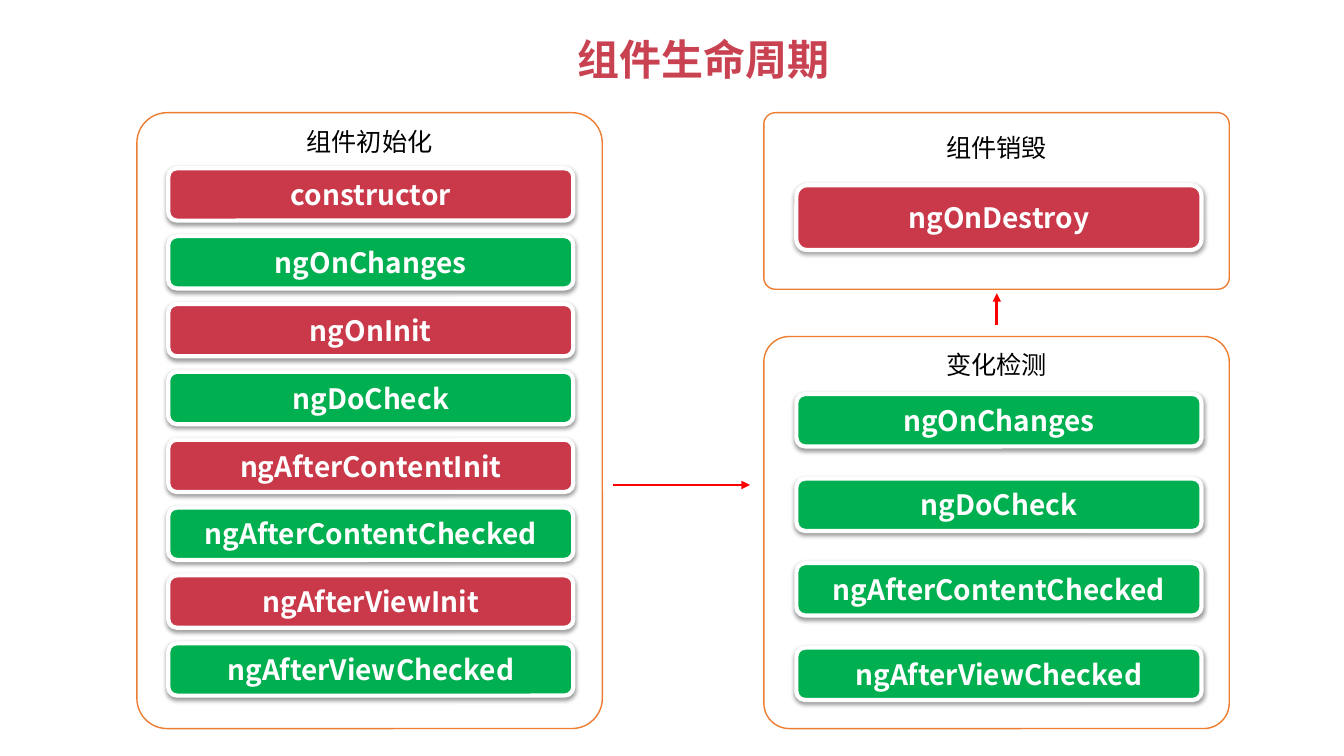
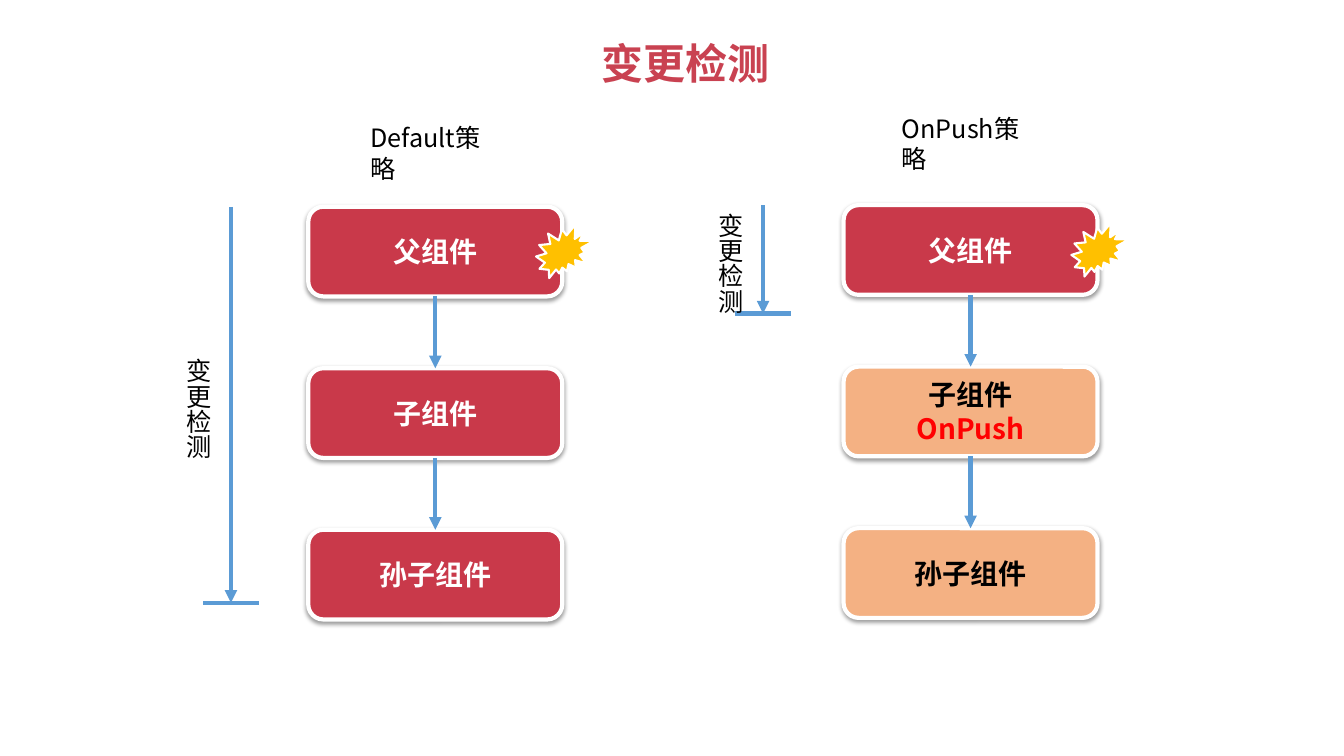
from lxml.etree import SubElement
from pptx import Presentation
from pptx.dml.color import RGBColor
from pptx.enum.shapes import MSO_CONNECTOR, MSO_SHAPE
from pptx.enum.text import MSO_ANCHOR, MSO_AUTO_SIZE, PP_ALIGN
from pptx.oxml.ns import qn
from pptx.util import Cm, Pt

FONT = "Noto Sans CJK SC"
RED, GREEN, PEACH = "C9394A", "00B050", "F4B183"
TITLE_RED, PURE_RED = "C94251", "FF0000"
ORANGE, GOLD, BLUE = "ED7D31", "FFC000", "5B9BD5"
WHITE, BLACK = "FFFFFF", "000000"

PILL_W, PILL_H = 10.21, 1.32
PANEL_W = 11.73
NODE_W, NODE_H, NODE_PITCH = 6.4, 2.26, 4.07


def rgb(value):
    return RGBColor.from_string(value)


def write(tf, lines, size, bold=False, align=None):
    """Fill a text frame with (text, colour) paragraphs."""
    for i, (text, color) in enumerate(lines):
        p = tf.add_paragraph() if i else tf.paragraphs[0]
        p.add_run().text = text
        p.alignment = align
        p.font.name = FONT
        p.font.size = Pt(size)
        p.font.bold = bold
        p.font.color.rgb = rgb(color)
        SubElement(p._p.pPr.find(qn("a:defRPr")), qn("a:ea"), typeface=FONT)


def add_text(s, x, y, w, h, text, size=18, color=BLACK, bold=False, wrap=False):
    sp = s.shapes.add_textbox(Cm(x), Cm(y), Cm(w), Cm(h))
    tf = sp.text_frame
    tf.word_wrap = wrap
    tf.auto_size = MSO_AUTO_SIZE.SHAPE_TO_FIT_TEXT
    write(tf, [(text, color)], size, bold)
    return sp


def add_title(s, x, y, w, text):
    add_text(s, x, y, w, 1.55, text, 30, TITLE_RED, True)


def add_preset(s, kind, x, y, w, h, fill, line, width):
    sp = s.shapes.add_shape(kind, Cm(x), Cm(y), Cm(w), Cm(h))
    sp.shadow.inherit = False
    sp.fill.solid()
    sp.fill.fore_color.rgb = rgb(fill)
    sp.line.color.rgb = rgb(line)
    sp.line.width = Pt(width)
    return sp


def add_panel(s, x, y, h, heading, top_inset=0.13):
    sp = add_preset(s, MSO_SHAPE.ROUNDED_RECTANGLE, x, y, PANEL_W, h, WHITE, ORANGE, 1)
    sp.adjustments[0] = 0.065
    tf = sp.text_frame
    tf.vertical_anchor = MSO_ANCHOR.TOP
    tf.margin_top = Cm(top_inset)
    write(tf, [(heading, BLACK)], 18, align=PP_ALIGN.CENTER)


def add_card(s, x, y, w, h, fill, lines):
    """Rounded card with a white rim, a soft shadow and bold centred text."""
    sp = add_preset(s, MSO_SHAPE.ROUNDED_RECTANGLE, x, y, w, h, fill, WHITE, 3)
    effects = sp._element.spPr.find(qn("a:effectLst"))
    shadow = SubElement(effects, qn("a:outerShdw"), blurRad="40000", dist="20000",
                        dir="5400000", rotWithShape="0")
    color = SubElement(shadow, qn("a:srgbClr"), val=BLACK)
    SubElement(color, qn("a:alpha"), val="38000")
    sp.text_frame.vertical_anchor = MSO_ANCHOR.MIDDLE
    write(sp.text_frame, lines, 20, True, PP_ALIGN.CENTER)
    return sp


def add_hooks(s, x, y, pitch, hooks, h=PILL_H):
    for i, (name, fill) in enumerate(hooks):
        add_card(s, x, y + i * pitch, PILL_W, h, fill, [(name, WHITE)])


def add_line(s, x1, y1, x2, y2, color, width, arrow=True):
    c = s.shapes.add_connector(MSO_CONNECTOR.STRAIGHT, Cm(x1), Cm(y1), Cm(x2), Cm(y2))
    c.line.color.rgb = rgb(color)
    c.line.width = Pt(width)
    if arrow:
        SubElement(c.line._get_or_add_ln(), qn("a:tailEnd"), type="triangle")
    SubElement(c._element.spPr, qn("a:effectLst"))
    return c


def add_strategy(s, x, y, heading, heading_y, heading_w, nodes):
    """Column of linked components; the top one carries the change burst."""
    center = x + NODE_W / 2
    add_text(s, center - heading_w / 2, heading_y, heading_w, 1.02, heading, wrap=True)
    cards = [add_card(s, x, y + i * NODE_PITCH, NODE_W, NODE_H, fill, lines)
             for i, (fill, lines) in enumerate(nodes)]
    for upper, lower in zip(cards, cards[1:]):
        c = add_line(s, center, y, center, y, BLUE, 3)
        c.begin_connect(upper, 2)
        c.end_connect(lower, 0)
    add_preset(s, MSO_SHAPE.EXPLOSION2, x + 5.74, y + 0.45, 1.45, 1.35, GOLD, WHITE, 1.5)


def add_scope(s, x, top, bottom):
    """Arrow with an end bar that shows how far change detection reaches."""
    add_line(s, x, top, x, bottom, BLUE, 3)
    add_line(s, x - 0.7, bottom, x + 0.7, bottom, BLUE, 3, arrow=False)
    label_h = 2.82
    label = add_text(s, x - 1.6, (top + bottom - label_h) / 2, 1.27, label_h, "变更检测")
    label.text_frame._txBody.bodyPr.set("vert", "eaVert")


def build_lifecycle(s):
    add_title(s, 14.3, 0.71, 6.93, "组件生命周期")

    add_panel(s, 3.45, 2.84, 15.52, "组件初始化")
    add_hooks(s, 4.24, 4.24, 1.71, [
        ("constructor", RED),
        ("ngOnChanges", GREEN),
        ("ngOnInit", RED),
        ("ngDoCheck", GREEN),
        ("ngAfterContentInit", RED),
        ("ngAfterContentChecked", GREEN),
        ("ngAfterViewInit", RED),
        ("ngAfterViewChecked", GREEN),
    ])

    add_panel(s, 19.25, 8.48, 9.88, "变化检测")
    checks = ["ngOnChanges", "ngDoCheck", "ngAfterContentChecked", "ngAfterViewChecked"]
    add_hooks(s, 20.07, 9.93, 2.13, [(name, GREEN) for name in checks])

    add_panel(s, 19.25, 2.84, 4.45, "组件销毁", top_inset=0.41)
    add_hooks(s, 20.07, 4.67, 0, [("ngOnDestroy", RED)], h=1.63)

    add_line(s, 15.44, 12.22, 18.9, 12.22, PURE_RED, 2)
    add_line(s, 25.12, 8.2, 25.12, 7.39, PURE_RED, 2)


def build_detection(s):
    add_title(s, 14.91, 0.81, 4.78, "变更检测")
    add_strategy(s, 7.77, 5.21, "Default策略", 2.97, 3.78, [
        (RED, [("父组件", WHITE)]),
        (RED, [("子组件", WHITE)]),
        (RED, [("孙子组件", WHITE)]),
    ])
    add_scope(s, 5.82, 5.21, 15.19)
    add_strategy(s, 21.26, 5.17, "OnPush策略", 2.72, 3.96, [
        (RED, [("父组件", WHITE)]),
        (PEACH, [("子组件", BLACK), ("OnPush", PURE_RED)]),
        (PEACH, [("孙子组件", BLACK)]),
    ])
    add_scope(s, 19.23, 5.17, 7.9)


def main():
    prs = Presentation()
    prs.slide_width, prs.slide_height = Cm(33.87), Cm(19.05)
    for build in (build_lifecycle, build_detection):
        build(prs.slides.add_slide(prs.slide_layouts[6]))
    prs.save("out.pptx")


if __name__ == "__main__":
    main()
